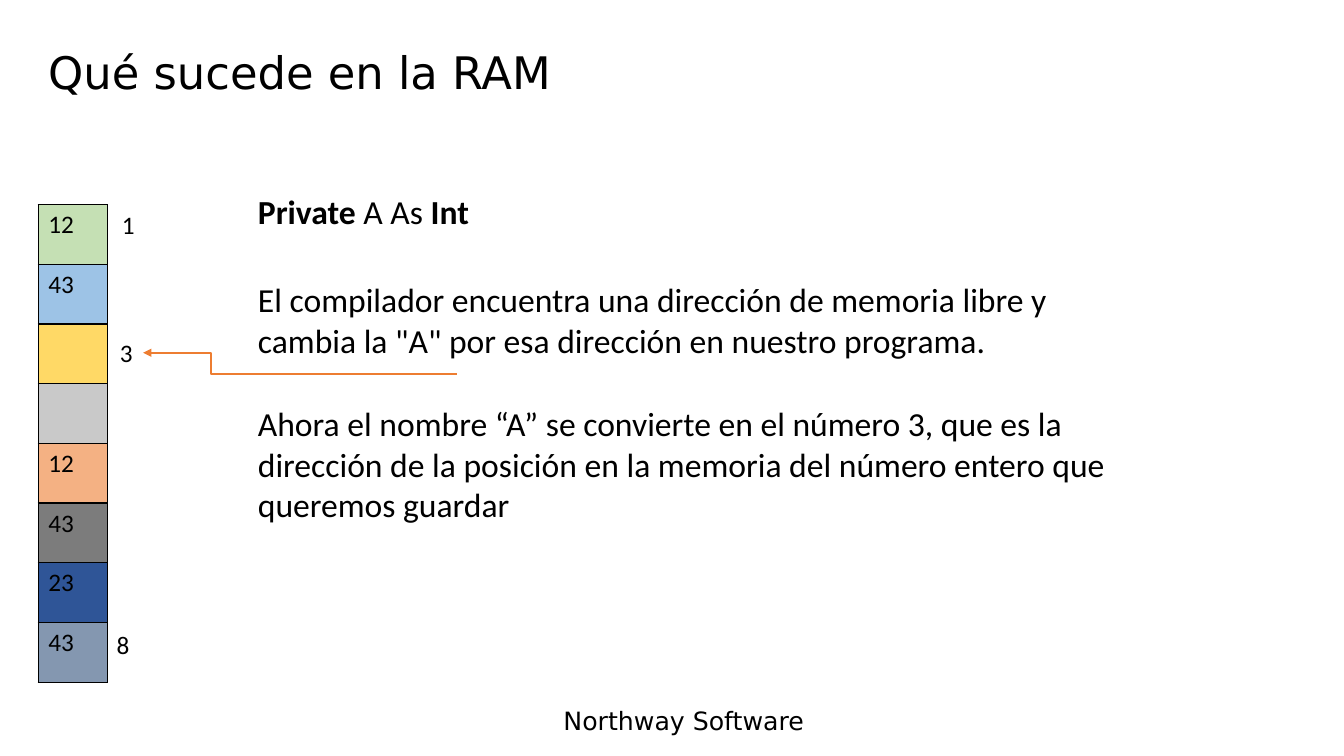
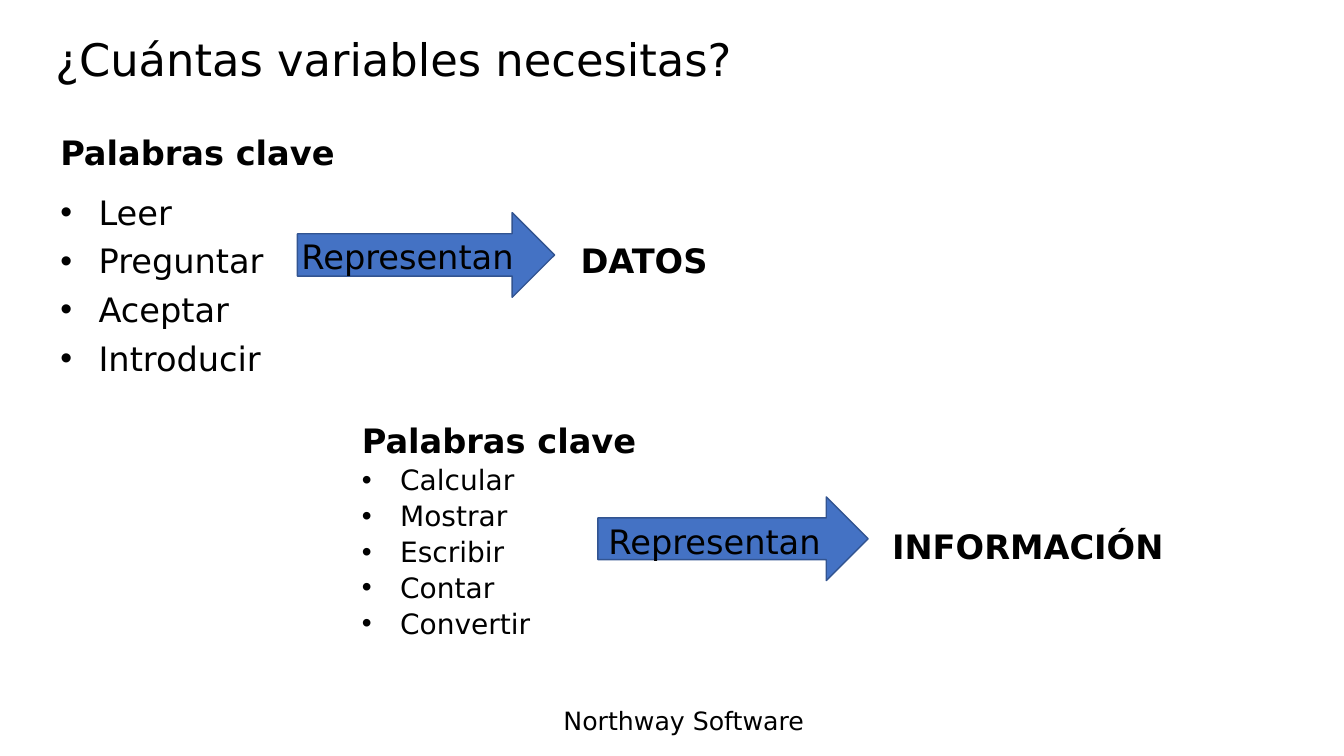
from dataclasses import dataclass

from lxml import etree
from pptx import Presentation
from pptx.dml.color import RGBColor as Color
from pptx.enum.shapes import MSO_CONNECTOR as Connector, MSO_SHAPE as Shape
from pptx.enum.text import MSO_ANCHOR as Anchor, PP_ALIGN as Align
from pptx.oxml.ns import qn
from pptx.util import Inches, Pt


@dataclass(frozen=True)
class Theme:
    heading_font: str = "DejaVu Sans"
    body_font: str = "Calibri"
    ink: str = "000000"
    arrow_fill: str = "4472C4"
    arrow_line: str = "325491"
    pointer: str = "ED7D31"
    title_size: int = 32
    text_size: int = 24
    list_size: int = 20
    small_size: int = 18


THEME = Theme()
FOOTER = "Northway Software"
SPACED = {"line_spacing": 1.07, "space_after": Pt(8)}
JUSTIFIED = {"alignment": Align.JUSTIFY, "line_spacing": 1.07}
MEMORY = [
    ("12", "C5E0B4"), ("43", "9DC3E6"), ("", "FFD966"), ("", "C9C9C9"),
    ("12", "F4B183"), ("43", "7C7C7C"), ("23", "2F5597"), ("43", "8497B0"),
]


def apply(target, values):
    for name, value in values.items():
        setattr(target, name, value)


def add_xml(parent, tag, **attributes):
    return etree.SubElement(parent, qn(tag), attributes)


# Text
def write(para, runs, size, font, **values):
    """Fill a paragraph with (text, bold) runs."""
    apply(para, values)
    for text, bold in runs:
        span = para.add_run()
        span.text = text
        apply(span.font, {"name": font, "size": Pt(size), "bold": bold})
        span.font.color.rgb = Color.from_string(THEME.ink)


def add_bullet(para):
    properties = para._p.get_or_add_pPr()
    indent = Inches(0.38)
    properties.set("marL", str(indent))
    properties.set("indent", str(-indent))
    add_xml(properties, "a:buFont", typeface="Arial")
    add_xml(properties, "a:buChar", char="•")


def add_box(page, place, wrap=True, anchor=Anchor.TOP):
    frame = page.shapes.add_textbox(*map(Inches, place)).text_frame
    apply(frame, {"word_wrap": wrap, "vertical_anchor": anchor})
    return frame


def add_text(page, place, text, size=THEME.text_size, font=THEME.heading_font,
             bold=False, wrap=True, anchor=Anchor.TOP, **values):
    runs = [(text, bold)] if isinstance(text, str) else text
    frame = add_box(page, place, wrap, anchor)
    write(frame.paragraphs[0], runs, size, font, **values)


def add_list(page, place, heading, items, size, heading_values, item_values, last_values):
    frame = add_box(page, place)
    write(frame.paragraphs[0], [(heading, True)], THEME.text_size,
          THEME.heading_font, **heading_values)
    for item in items:
        para = frame.add_paragraph()
        write(para, [(item, False)], size, THEME.heading_font, **item_values)
        if item == items[-1]:
            apply(para, last_values)
        add_bullet(para)


# Memory column, arrows
def add_memory(page, place, cells):
    table = page.shapes.add_table(len(cells), 1, *map(Inches, place)).table
    apply(table, {"first_row": False, "horz_banding": False})
    for row, (text, fill) in enumerate(cells):
        cell = table.cell(row, 0)
        properties = cell._tc.get_or_add_tcPr()
        for side in "LRTB":
            border = add_xml(properties, f"a:ln{side}", w=str(Pt(1)))
            add_xml(add_xml(border, "a:solidFill"), "a:srgbClr", val=THEME.ink)
        cell.fill.solid()
        cell.fill.fore_color.rgb = Color.from_string(fill)
        if text:
            write(cell.text_frame.paragraphs[0], [(text, False)],
                  THEME.small_size, THEME.body_font)


def add_pointer(page, start, end, bend):
    """Draw an elbow arrow that turns at the given share of its width."""
    pointer = page.shapes.add_connector(Connector.ELBOW, *map(Inches, start + end))
    pointer.line.color.rgb = Color.from_string(THEME.pointer)
    pointer.line.width = Pt(1.5)
    properties = pointer._element.spPr
    add_xml(properties.find(qn("a:ln")), "a:tailEnd", type="triangle")
    add_xml(properties, "a:effectLst")
    guides = properties.find(qn("a:prstGeom")).find(qn("a:avLst"))
    add_xml(guides, "a:gd", name="adj1", fmla=f"val {round(bend * 100000)}")


def add_block_arrow(page, place):
    arrow = page.shapes.add_shape(Shape.RIGHT_ARROW, *map(Inches, place))
    arrow.shadow.inherit = False
    arrow.fill.solid()
    arrow.fill.fore_color.rgb = Color.from_string(THEME.arrow_fill)
    arrow.line.color.rgb = Color.from_string(THEME.arrow_line)
    arrow.line.width = Pt(1)


# Slides
def add_page(deck, title, title_place):
    page = deck.slides.add_slide(deck.slide_layouts[6])
    add_text(page, (5.49, 6.95, 2.9, 0.4), FOOTER, THEME.small_size)
    add_text(page, title_place, title, THEME.title_size,
             anchor=Anchor.MIDDLE, line_spacing=0.9)
    return page


def build_memory_page(deck):
    page = add_page(deck, "Qué sucede en la RAM", (0.38, 0.27, 11.5, 0.95))
    add_memory(page, (0.38, 2.03, 0.69, 4.74), MEMORY)

    # Addresses beside the column
    for address, left, top in (("1", 1.11, 2.03), ("8", 1.06, 6.19), ("3", 1.09, 3.3)):
        add_text(page, (left, top, 0.33, 0.4), address, THEME.small_size,
                 THEME.body_font, wrap=False)

    # Explanation
    declaration = [("Private", True), (" A As ", False), ("Int", True)]
    for top, width, height, text in (
        (1.84, 2.97, 0.5, declaration),
        (2.72, 8.71, 0.91, "El compilador encuentra una dirección de memoria libre y "
                           "cambia la \"A\" por esa dirección en nuestro programa."),
        (3.95, 9.27, 1.31, "Ahora el nombre “A” se convierte en el número 3, que es la "
                           "dirección de la posición en la memoria del número entero "
                           "que queremos guardar"),
    ):
        add_text(page, (2.46, top, width, height), text, font=THEME.body_font)
    add_pointer(page, (4.53, 3.71), (1.42, 3.5), 0.784)


def build_variables_page(deck):
    page = add_page(deck, "¿Cuántas variables necesitas?", (0.45, 0.15, 11.97, 0.93))

    # Keyword lists
    add_list(page, (0.5, 1.23, 3.1, 2.6), "Palabras clave",
             ["Leer", "Preguntar", "Aceptar", "Introducir"], THEME.text_size,
             SPACED, {"space_before": Pt(6)}, {})
    add_list(page, (3.49, 4.09, 3.28, 2.37), "Palabras clave",
             ["Calcular", "Mostrar", "Escribir", "Contar", "Convertir"],
             THEME.list_size, JUSTIFIED, JUSTIFIED, SPACED)

    # What each list stands for
    for arrow, label, meaning, text in (
        ((2.95, 2.11, 2.55, 0.84), (2.82, 2.26, 2.55, 0.5),
         (5.66, 2.3, 1.54, 0.94), "DATOS"),
        ((5.93, 4.93, 2.68, 0.83), (5.8, 5.09, 2.68, 0.49),
         (8.75, 5.14, 3.67, 0.49), "INFORMACIÓN"),
    ):
        add_block_arrow(page, arrow)
        add_text(page, label, "Representan ", alignment=Align.CENTER, **SPACED)
        add_text(page, meaning, text, bold=True, alignment=Align.JUSTIFY, **SPACED)


def main():
    deck = Presentation()
    apply(deck, {"slide_width": Inches(13.33), "slide_height": Inches(7.5)})
    build_memory_page(deck)
    build_variables_page(deck)
    deck.save("out.pptx")


if __name__ == "__main__":
    main()
